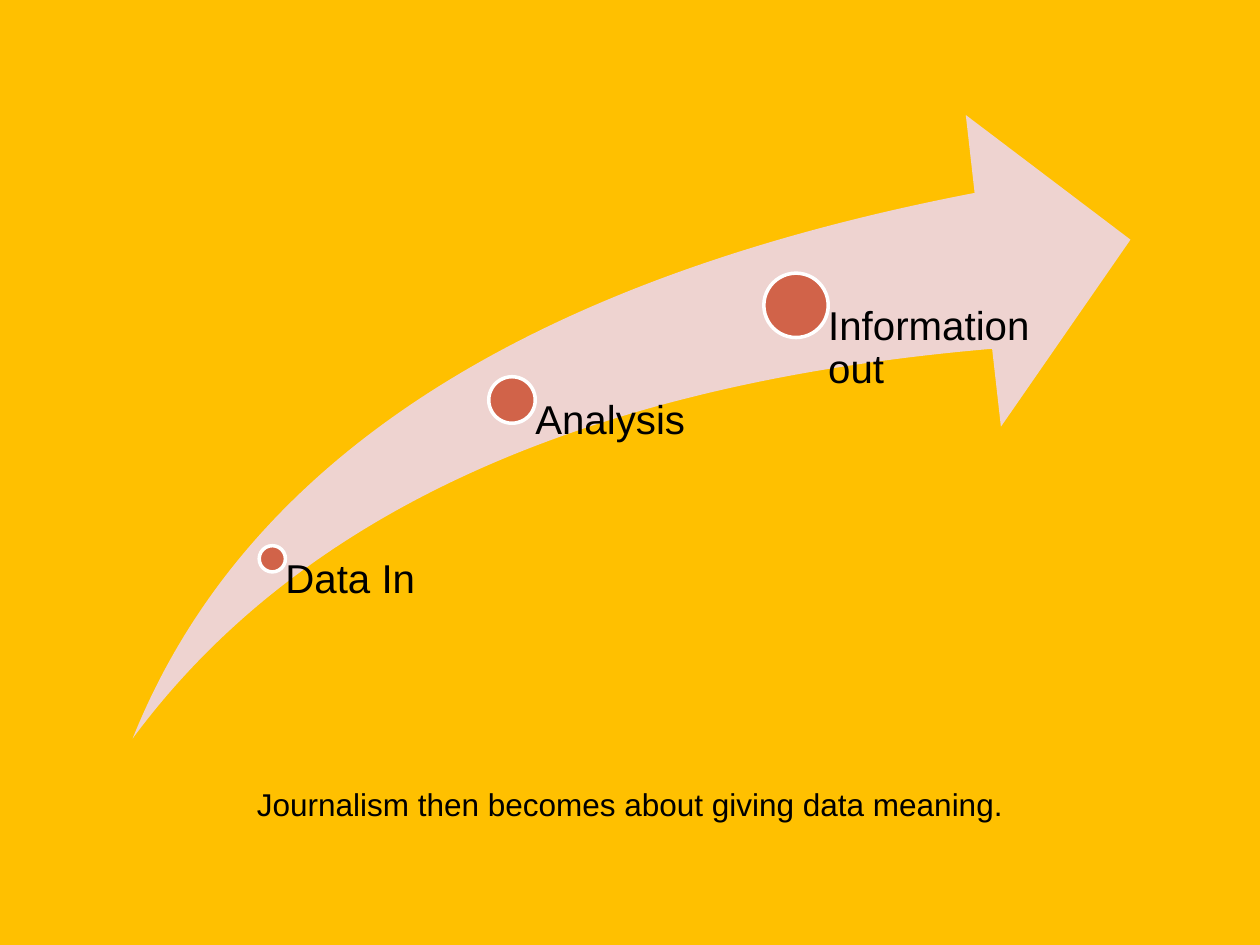
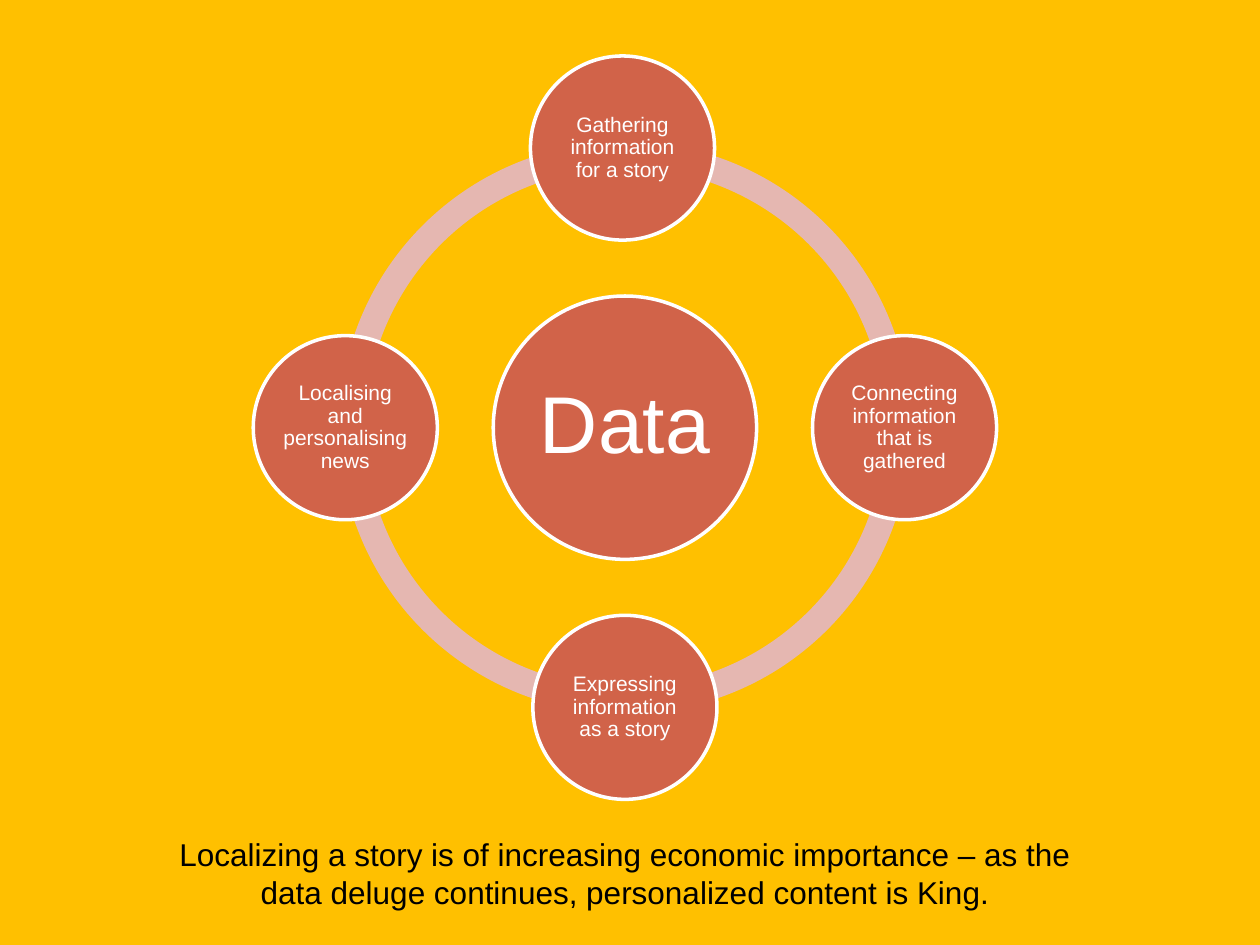
import math

from pptx import Presentation
from pptx import util as u
from pptx.dml.color import RGBColor
from pptx.enum import shapes, text

YELLOW, RUST, WHITE, BLACK = "FFC000", "D16349", "FFFFFF", "000000"
ARROW_PINK, RING_PINK = "EED3D0", "E5B7B1"
CENTER, LEFT = text.PP_ALIGN.CENTER, text.PP_ALIGN.LEFT
TOP, MIDDLE = text.MSO_ANCHOR.TOP, text.MSO_ANCHOR.MIDDLE


def add_shape(slide, kind, box, fill, outlined=False):
    shape = slide.shapes.add_shape(kind, *[u.Pt(length) for length in box])
    shape.shadow.inherit = False
    shape.fill.solid()
    shape.fill.fore_color.rgb = RGBColor.from_string(fill)
    if outlined:
        shape.line.color.rgb = RGBColor.from_string(WHITE)
        shape.line.width = u.Pt(2)
    else:
        shape.line.fill.background()
    return shape


def write(shape, words, size, color, align, anchor, insets, spacing):
    frame = shape.text_frame
    frame.word_wrap = True
    frame.vertical_anchor = anchor
    for side, inset in zip(("left", "top", "right", "bottom"), insets):
        setattr(frame, f"margin_{side}", u.Pt(inset))
    paragraph = frame.paragraphs[0]
    paragraph.text = words
    paragraph.alignment = align
    paragraph.line_spacing = spacing
    for name, value in {"name": "Arial", "size": u.Pt(size)}.items():
        setattr(paragraph.font, name, value)
    paragraph.font.color.rgb = RGBColor.from_string(color)


presentation = Presentation()
presentation.slide_width, presentation.slide_height = u.Pt(720), u.Pt(540)
background = presentation.slide_master.background.fill
background.solid()
background.fore_color.rgb = RGBColor.from_string(YELLOW)
blank = presentation.slide_layouts[6]

captions = [
    ("Journalism then becomes about giving data meaning.", (82, 445, 556, 29)),
    ("Localizing a story is of increasing economic importance – as the data deluge "
     "continues, personalized content is King.", (93.6, 473.8, 527, 51)),
]
slides = []
for words, box in captions:
    slide = presentation.slides.add_slide(blank)
    caption = slide.shapes.add_textbox(*[u.Pt(length) for length in box])
    write(caption, words, 18, BLACK, CENTER, TOP, (7.2, 3.6, 7.2, 3.6), 1.0)
    slides.append(slide)
process_slide, cycle_slide = slides

arrow_bottom = 422
arrow = add_shape(process_slide, shapes.MSO_SHAPE.SWOOSH_ARROW,
                  (75.8, 65.7, 570.2, arrow_bottom - 65.7), ARROW_PINK)
arrow.adjustments[0] = arrow.adjustments[1] = 0.25

steps = [
    ("Data In", 155.6, 319.3, 15),
    ("Analysis", 292.6, 228.6, 26.6),
    ("Information out", 454.9, 174.5, 36.8),
]
for words, x, y, diameter in steps:
    radius = diameter / 2
    add_shape(process_slide, shapes.MSO_SHAPE.OVAL,
              (x - radius, y - radius, diameter, diameter), RUST, True)
    label = process_slide.shapes.add_textbox(
        u.Pt(x), u.Pt(y), u.Pt(136.8), u.Pt(arrow_bottom - y))
    write(label, words, 23, BLACK, LEFT, TOP, (radius, 0, 0, 0), 0.9)

center_x, center_y = 357.1, 244.4
ring, orbit, hub, satellite = 326.9, 159.8, 150.5, 105.2
quarter = 54
for index in range(4):
    arc = add_shape(cycle_slide, shapes.MSO_SHAPE.BLOCK_ARC,
                    (center_x - ring / 2, center_y - ring / 2, ring, ring), RING_PINK)
    arc.adjustments[0] = index * quarter
    arc.adjustments[1] = (index + 1) % 4 * quarter
    arc.adjustments[2] = 0.046

circles = [("Data", center_x, center_y, hub, 46, 4.3)]
activities = [
    ("Gathering information for a story", -1.4),
    ("Connecting information that is gathered", 0),
    ("Expressing information as a story", 0),
    ("Localising and personalising news", 0),
]
for index, (words, nudge) in enumerate(activities):
    angle = math.radians(90 * index - 90)
    circles.append((words, center_x + orbit * math.cos(angle) + nudge,
                    center_y + orbit * math.sin(angle), satellite, 12, 1.4))
for words, x, y, diameter, size, inset in circles:
    circle = add_shape(cycle_slide, shapes.MSO_SHAPE.OVAL,
                       (x - diameter / 2, y - diameter / 2, diameter, diameter), RUST, True)
    write(circle, words, size, WHITE, CENTER, MIDDLE, [inset] * 4, 0.9)

presentation.save("out.pptx")
